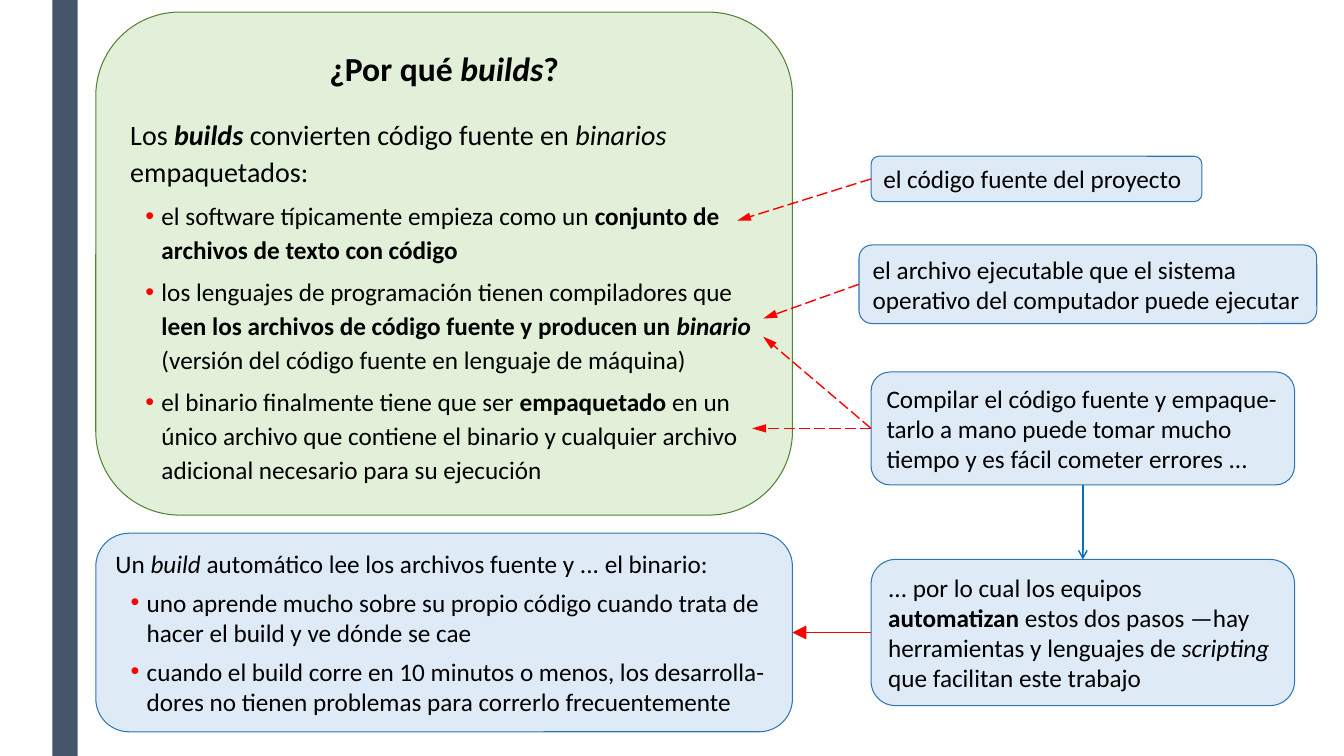
import pptx
import pptx.dml.color
import pptx.enum.dml
import pptx.enum.shapes
import pptx.enum.text
import pptx.oxml.ns
import pptx.util
from dataclasses import dataclass
from lxml import etree

# Content: a paragraph is (level, runs); a run is (text, style), b = bold, i = italic
WHY_BUILDS = [
    ("title", [("¿Por qué ", "b"), ("builds", "bi"), ("?", "b")]),
    ("lead", [("Los ", ""), ("builds ", "bi"), ("convierten código fuente en ", ""),
              ("binarios", "i"), (" empaquetados:", "")]),
    ("bullet", [("el software típicamente empieza como un ", ""),
                ("conjunto de archivos de texto con código", "b")]),
    ("bullet", [("los lenguajes de programación tienen compiladores que ", ""),
                ("leen los archivos de código fuente y producen un ", "b"),
                ("binario", "bi"),
                (" (versión del código fuente en lenguaje de máquina)", "")]),
    ("bullet", [("el binario finalmente tiene que ser ", ""), ("empaquetado", "b"),
                (" en un único archivo que contiene el binario y cualquier archivo "
                 "adicional necesario para su ejecución", "")]),
]
BY_HAND = [("note", [("Compilar el código fuente y empaque-tarlo a mano puede tomar "
                      "mucho tiempo y es fácil cometer errores ...", "")])]
SOURCE = [("note", [("el código fuente del proyecto", "")])]
EXECUTABLE = [("note", [("el archivo ejecutable que el sistema operativo del "
                         "computador puede ejecutar", "")])]
AUTOMATED = [("note", [("... por lo cual los equipos ", ""), ("automatizan", "b"),
                       (" estos dos pasos —hay herramientas y lenguajes de ", ""),
                       ("scripting", "i"), (" que facilitan este trabajo", "")])]
AUTO_BUILD = [
    ("intro", [("Un ", ""), ("build", "i"),
               (" automático lee los archivos fuente y ... el binario:", "")]),
    ("bullet", [("uno aprende mucho sobre su propio código cuando trata de hacer "
                 "el build y ve dónde se cae", "")]),
    ("bullet", [("cuando el build corre en 10 minutos o menos, los desarrolla-dores "
                 "no tienen problemas para correrlo frecuentemente", "")]),
]


@dataclass(frozen=True)
class Theme:
    font: str = "Calibri"
    text: str = "000000"
    bar: str = "44546A"
    green: tuple = ("E2F0D9", "548235")
    blue: tuple = ("DEEBF7", "2E75B6")
    red: str = "FF0000"
    flow: str = "0070C0"
    outline: float = 0.75
    arrow: float = 1


THEME = Theme()
# Level: type size, space before
LEVELS = {"title": (24, 6), "lead": (20, 18), "bullet": (18, 6),
          "note": (18, 6), "intro": (18, 0)}

# Grid, in inches: columns are (left, width), rows are (top, height)
WIDTH, HEIGHT = 13.33, 7.5
BAR_COL = (0.52, 0.25)
MAIN_COL = (0.95, 6.91)
SIDE_COL = (8.64, 4.2)
SOURCE_COL = (SIDE_COL[0], 3.28)
EXECUTABLE_COL = (8.52, 4.54)
FULL_ROW = (0, HEIGHT)
TOP, LEFT, BOTTOM, RIGHT = range(4)

inch = pptx.util.Inches
SHAPE = pptx.enum.shapes.MSO_SHAPE


def rgb(code):
    return pptx.dml.color.RGBColor.from_string(code)


def add_child(parent, tag, **attributes):
    return etree.SubElement(parent, pptx.oxml.ns.qn(tag), **attributes)


def add_panel(slide, kind, col, row, fill, outline=None):
    panel = slide.shapes.add_shape(kind, inch(col[0]), inch(row[0]),
                                   inch(col[1]), inch(row[1]))
    panel.shadow.inherit = False
    panel.fill.solid()
    panel.fill.fore_color.rgb = rgb(fill)
    if outline:
        panel.line.color.rgb = rgb(outline)
        panel.line.width = pptx.util.Pt(THEME.outline)
    else:
        panel.line.fill.background()
    return panel


def add_bullet(paragraph):
    properties = paragraph._p.get_or_add_pPr()
    properties.set("marL", str(inch(0.31)))
    properties.set("indent", str(inch(-0.16)))
    add_child(add_child(properties, "a:buClr"), "a:srgbClr", val=THEME.red)
    add_child(properties, "a:buFont", typeface="Arial")
    add_child(properties, "a:buChar", char="•")


def add_box(slide, col, row, paragraphs, colours=THEME.blue, spacing=1.0):
    box = add_panel(slide, SHAPE.ROUNDED_RECTANGLE, col, row, *colours)
    frame = box.text_frame
    frame.word_wrap = True
    frame.auto_size = pptx.enum.text.MSO_AUTO_SIZE.SHAPE_TO_FIT_TEXT
    frame.vertical_anchor = pptx.enum.text.MSO_ANCHOR.MIDDLE
    align = pptx.enum.text.PP_ALIGN
    for index, (level, runs) in enumerate(paragraphs):
        paragraph = frame.add_paragraph() if index else frame.paragraphs[0]
        size, before = LEVELS[level]
        paragraph.alignment = align.CENTER if level == "title" else align.LEFT
        paragraph.line_spacing = spacing
        paragraph.space_before = pptx.util.Pt(before)
        if level == "bullet":
            add_bullet(paragraph)
        for text, style in runs:
            run = paragraph.add_run()
            run.text = text
            run.font.name = THEME.font
            run.font.size = pptx.util.Pt(size)
            run.font.color.rgb = rgb(THEME.text)
            run.font.bold = "b" in style
            run.font.italic = "i" in style
    return box


def add_arrow(slide, start, side, target, colour=THEME.red, dashed=False,
              head=("triangle", "lg", "lg")):
    """Target is a point in inches or a (box, side) pair."""
    joined = not isinstance(target[0], (int, float))
    x, y = (0, 0) if joined else map(inch, target)
    arrow = slide.shapes.add_connector(
        pptx.enum.shapes.MSO_CONNECTOR.STRAIGHT, 0, 0, x, y)
    arrow.begin_connect(start, side)
    if joined:
        arrow.end_connect(*target)
    arrow.line.color.rgb = rgb(colour)
    arrow.line.width = pptx.util.Pt(THEME.arrow)
    if dashed:
        arrow.line.dash_style = pptx.enum.dml.MSO_LINE.LONG_DASH
    kind, wide, long = head
    add_child(arrow.line._get_or_add_ln(), "a:tailEnd", type=kind, w=wide, len=long)
    add_child(arrow._element.spPr, "a:effectLst")


def main():
    deck = pptx.Presentation()
    deck.slide_width, deck.slide_height = inch(WIDTH), inch(HEIGHT)
    slide = deck.slides.add_slide(deck.slide_layouts[6])

    # Side bar and boxes
    add_panel(slide, SHAPE.RECTANGLE, BAR_COL, FULL_ROW, THEME.bar)
    add_box(slide, MAIN_COL, (0.12, 4.99), WHY_BUILDS, THEME.green, 1.12)
    by_hand = add_box(slide, SIDE_COL, (3.69, 1.12), BY_HAND)
    source = add_box(slide, SOURCE_COL, (1.55, 0.45), SOURCE)
    executable = add_box(slide, EXECUTABLE_COL, (2.43, 0.78), EXECUTABLE)
    automated = add_box(slide, SIDE_COL, (5.55, 1.45), AUTOMATED)
    auto_build = add_box(slide, MAIN_COL, (5.29, 1.97), AUTO_BUILD)

    # Dashed arrows from the notes to the words they explain
    for note, words in [(source, (7.31, 2.19)), (executable, (7.57, 3.16)),
                        (by_hand, (7.46, 4.25)), (by_hand, (7.57, 3.34))]:
        add_arrow(slide, note, LEFT, words, dashed=True, head=("triangle", "med", "lg"))

    # Flow from manual work to the automatic build
    add_arrow(slide, by_hand, BOTTOM, (automated, TOP), THEME.flow,
              head=("arrow", "med", "med"))
    add_arrow(slide, automated, LEFT, (auto_build, RIGHT))

    deck.save("out.pptx")


if __name__ == "__main__":
    main()
